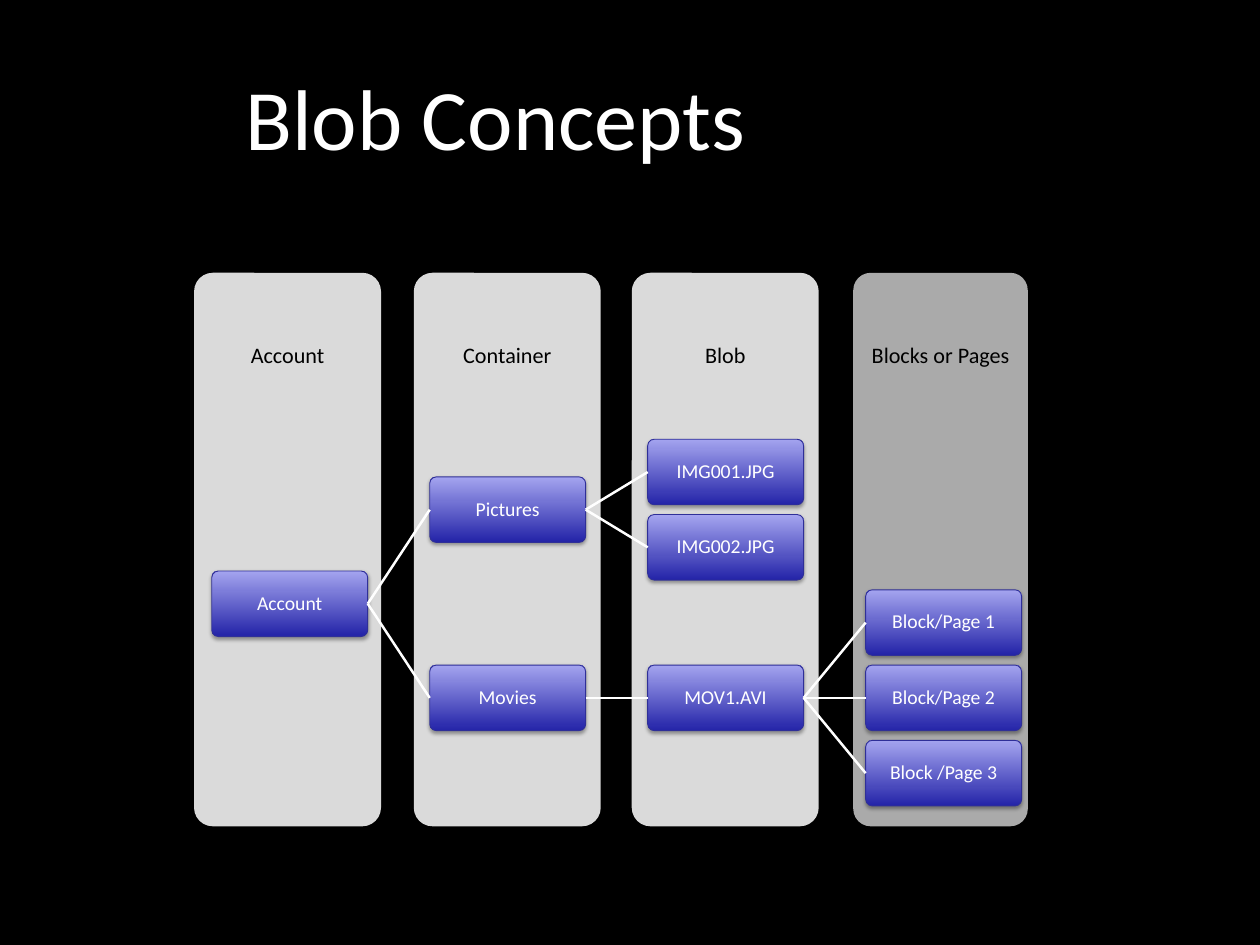
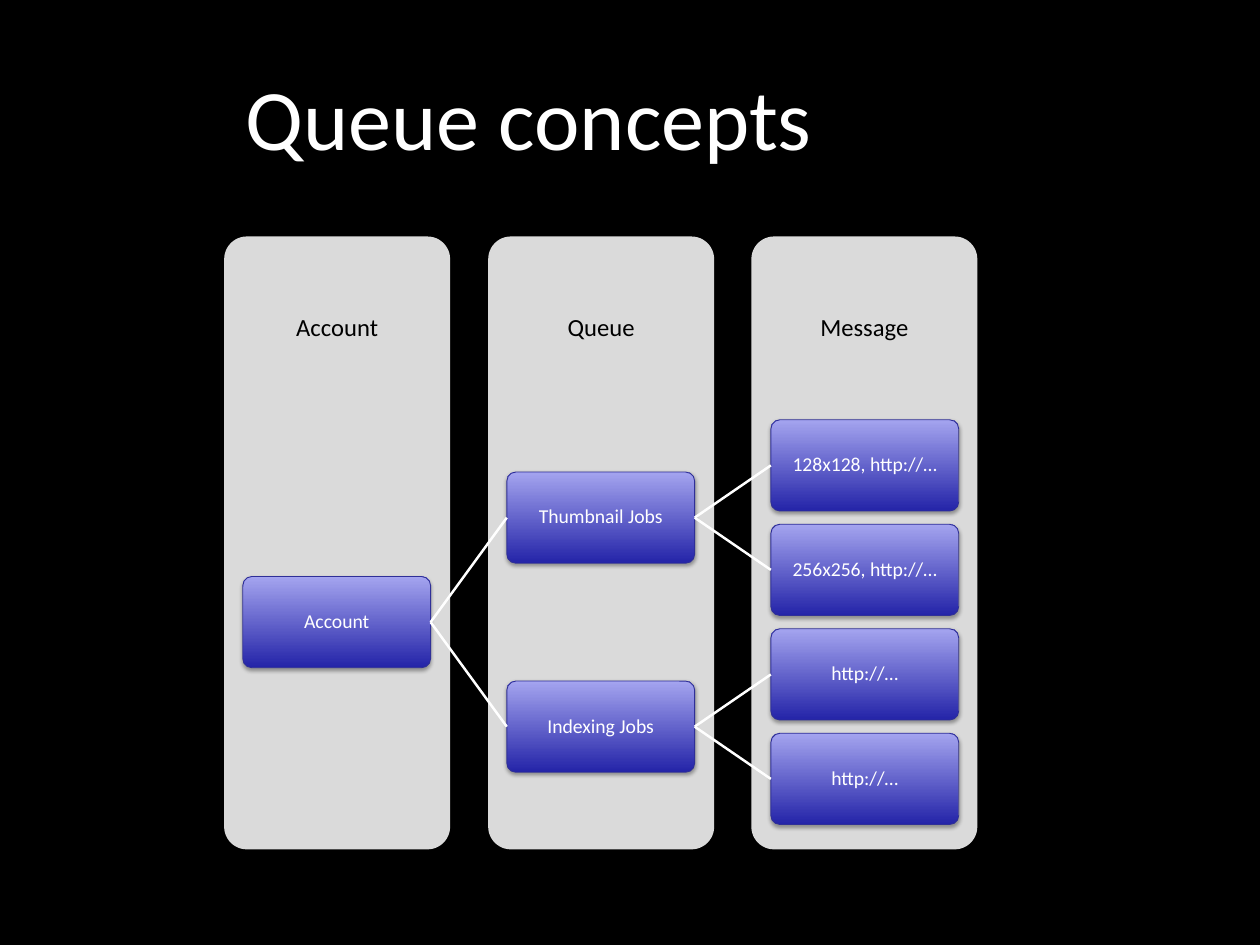
from dataclasses import dataclass

from lxml import etree
from pptx import Presentation
from pptx.dml.color import RGBColor
from pptx.enum.shapes import MSO_CONNECTOR, MSO_SHAPE
from pptx.enum.text import MSO_ANCHOR, MSO_AUTO_SIZE, PP_ALIGN
from pptx.oxml.ns import qn
from pptx.util import Inches, Pt

ROUNDED = MSO_SHAPE.ROUNDED_RECTANGLE
STRAIGHT = MSO_CONNECTOR.STRAIGHT
MIDDLE = MSO_ANCHOR.MIDDLE
NO_AUTOFIT = MSO_AUTO_SIZE.NONE
LEFT, CENTER = PP_ALIGN.LEFT, PP_ALIGN.CENTER
LEFT_SIDE, RIGHT_SIDE = 1, 3
TITLE_ONLY = 5


@dataclass(frozen=True)
class Theme:
    font: str = "Calibri"
    background: str = "000000"
    light_text: str = "FFFFFF"
    dark_text: str = "000000"
    column: str = "DADADA"
    column_dark: str = "AAAAAA"
    node_bottom: str = "2424A8"
    node_top: str = "A4A4EF"
    node_line: str = "2F2F98"
    link: str = "FFFFFF"
    shadow: str = "000000"
    title_size: int = 70
    node_size: int = 16
    corner: float = 0.1


THEME = Theme()


@dataclass(frozen=True)
class Column:
    label: str
    offset: float
    width: float
    fill: str = THEME.column


@dataclass(frozen=True)
class Node:
    text: str
    children: tuple = ()


@dataclass(frozen=True)
class Diagram:
    """Lengths in inches; offsets are measured from the box's left and top."""
    title: str
    box: tuple  # left, top, height
    columns: tuple
    label_height: float
    label_size: int
    label_inset: float
    node_offset: tuple
    node_extent: tuple
    node_pitch: tuple
    root: Node


DIAGRAMS = (
    Diagram(
        title="Blob Concepts",
        box=(2.19, 3.08, 6.25),
        columns=(
            Column("Account", 0, 2.11),
            Column("Container", 2.48, 2.11),
            Column("Blob", 4.94, 2.11),
            Column("Blocks or Pages", 7.44, 1.97, THEME.column_dark),
        ),
        label_height=1.88, label_size=18, label_inset=0.14,
        node_offset=(0.2, 1.88), node_extent=(1.76, 0.74),
        node_pitch=(2.46, 0.85),
        root=Node("Account", (
            Node("Pictures", (Node("IMG001.JPG"), Node("IMG002.JPG"))),
            Node("Movies", (
                Node("MOV1.AVI", (
                    Node("Block/Page 1"),
                    Node("Block/Page 2"),
                    Node("Block /Page 3"),
                )),
            )),
        )),
    ),
    Diagram(
        title="Queue concepts",
        box=(2.53, 2.67, 6.92),
        columns=(
            Column("Account", 0, 2.55),
            Column("Queue", 2.98, 2.55),
            Column("Message", 5.95, 2.55),
        ),
        label_height=2.08, label_size=20, label_inset=0.16,
        node_offset=(0.21, 2.07), node_extent=(2.12, 1.03),
        node_pitch=(2.98, 1.18),
        root=Node("Account", (
            Node("Thumbnail Jobs",
                 (Node("128x128, http://…"), Node("256x256, http://…"))),
            Node("Indexing Jobs", (Node("http://…"), Node("http://…"))),
        )),
    ),
)


def rgb(color):
    return RGBColor.from_string(color)


def place(shape, left, top, width, height):
    shape.left, shape.top = Inches(left), Inches(top)
    shape.width, shape.height = Inches(width), Inches(height)


def write_text(shape, text, *, size, color, inset, align=CENTER, spacing=0.9):
    frame = shape.text_frame
    frame.word_wrap = True
    frame.auto_size = NO_AUTOFIT
    frame.vertical_anchor = MIDDLE
    frame.margin_left = frame.margin_right = Inches(inset)
    frame.margin_top = frame.margin_bottom = Inches(inset)
    paragraph = frame.paragraphs[0]
    paragraph.alignment = align
    paragraph.line_spacing = spacing
    run = paragraph.add_run()
    run.text = text
    run.font.name = THEME.font
    run.font.size = Pt(size)
    run.font.color.rgb = rgb(color)


def add_rounded(slide, left, top, width, height):
    shape = slide.shapes.add_shape(
        ROUNDED, Inches(left), Inches(top), Inches(width), Inches(height))
    shape.adjustments[0] = THEME.corner
    shape.shadow.inherit = False
    return shape


def add_soft_shadow(shape):
    effects = shape.element.spPr.find(qn("a:effectLst"))
    outer = etree.SubElement(effects, qn("a:outerShdw"), blurRad="40000",
                             dist="23000", dir="5400000", rotWithShape="0")
    color = etree.SubElement(outer, qn("a:srgbClr"), val=THEME.shadow)
    etree.SubElement(color, qn("a:alpha"), val="35000")


def add_column(slide, diagram, column):
    left, top, height = diagram.box
    left += column.offset
    panel = add_rounded(slide, left, top, column.width, height)
    panel.fill.solid()
    panel.fill.fore_color.rgb = rgb(column.fill)
    panel.line.fill.background()
    label = slide.shapes.add_textbox(
        Inches(left), Inches(top),
        Inches(column.width), Inches(diagram.label_height))
    write_text(label, column.label, size=diagram.label_size,
               color=THEME.dark_text, inset=diagram.label_inset)


def add_node(slide, text, left, top, width, height):
    shape = add_rounded(slide, left, top, width, height)
    shape.fill.gradient()
    shape.fill.gradient_angle = 90
    for stop, color in zip(shape.fill.gradient_stops,
                           (THEME.node_bottom, THEME.node_top)):
        stop.color.rgb = rgb(color)
    shape.line.color.rgb = rgb(THEME.node_line)
    shape.line.width = Pt(0.75)
    add_soft_shadow(shape)
    write_text(shape, text, size=THEME.node_size, color=THEME.light_text,
               inset=0.01)
    return shape


def add_link(slide, parent, child):
    link = slide.shapes.add_connector(STRAIGHT, 0, 0, 0, 0)
    link.begin_connect(parent, RIGHT_SIDE)
    link.end_connect(child, LEFT_SIDE)
    link.line.color.rgb = rgb(THEME.link)
    link.line.width = Pt(2)
    etree.SubElement(link.element.spPr, qn("a:effectLst"))


def add_branch(slide, diagram, node, depth=0, first_row=0):
    """Draw a node midway between its children; return shape, row, next row."""
    branches = []
    next_row = first_row
    for child in node.children:
        shape, row, next_row = add_branch(
            slide, diagram, child, depth + 1, next_row)
        branches.append((shape, row))
    if branches:
        row = sum(child_row for _, child_row in branches) / len(branches)
    else:
        row, next_row = first_row, first_row + 1

    left = diagram.box[0] + diagram.node_offset[0] + depth * diagram.node_pitch[0]
    top = diagram.box[1] + diagram.node_offset[1] + row * diagram.node_pitch[1]
    parent = add_node(slide, node.text, left, top, *diagram.node_extent)
    for shape, _ in branches:
        add_link(slide, parent, shape)
    return parent, row, next_row


def add_diagram_slide(presentation, diagram):
    slide = presentation.slides.add_slide(
        presentation.slide_layouts[TITLE_ONLY])
    # Title
    title = slide.shapes.title
    place(title, 2.71, 0.17, 10.33, 2.29)
    write_text(title, diagram.title, size=THEME.title_size,
               color=THEME.light_text, inset=0.06, align=LEFT, spacing=1.0)
    # Level columns
    for column in diagram.columns:
        add_column(slide, diagram, column)
    # Tree of nodes and links
    add_branch(slide, diagram, diagram.root)


def main():
    presentation = Presentation()
    presentation.slide_width = Inches(14.22)
    presentation.slide_height = Inches(10.67)
    # Shared background
    background = presentation.slide_master.background.fill
    background.solid()
    background.fore_color.rgb = rgb(THEME.background)
    for diagram in DIAGRAMS:
        add_diagram_slide(presentation, diagram)
    presentation.save("out.pptx")


if __name__ == "__main__":
    main()
